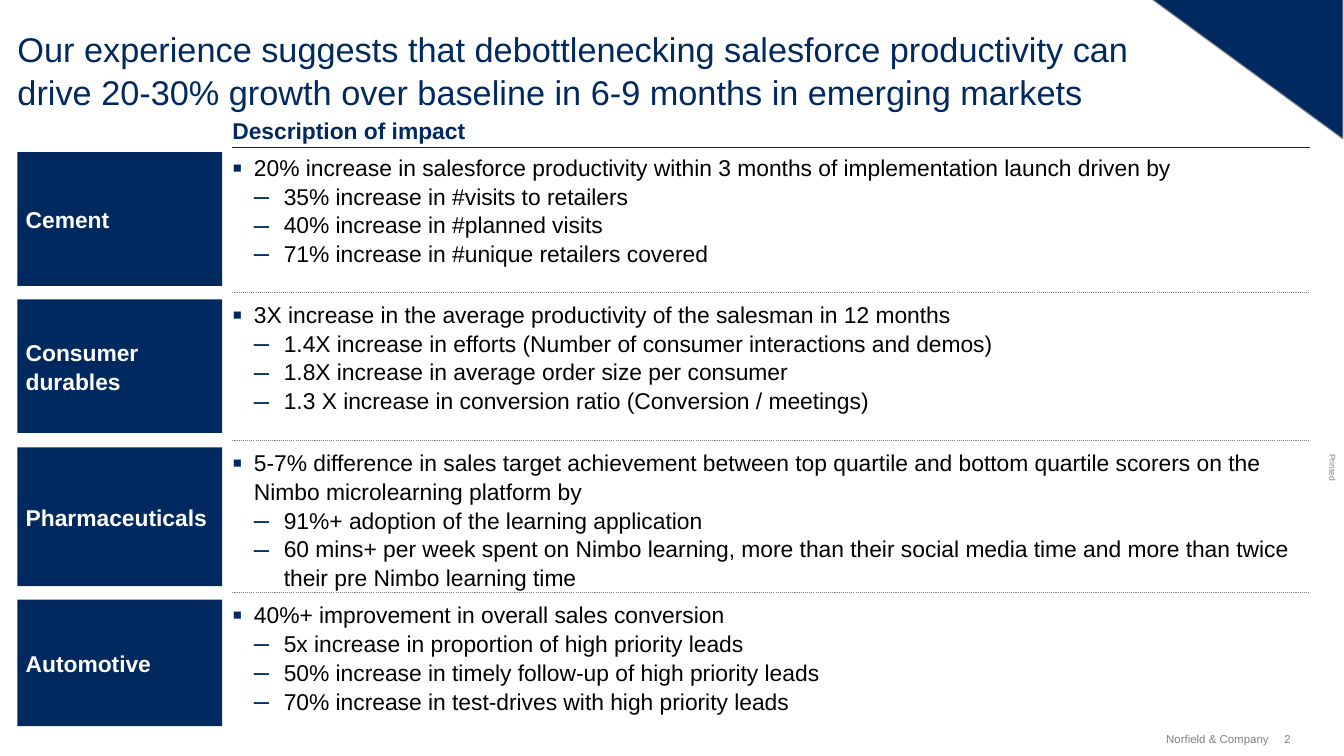
from lxml.etree import SubElement
from pptx import Presentation
from pptx.dml.color import RGBColor
from pptx.enum.dml import MSO_LINE
from pptx.enum.shapes import MSO_CONNECTOR, MSO_SHAPE
from pptx.enum.text import MSO_ANCHOR, PP_ALIGN
from pptx.oxml.ns import qn
from pptx.util import Inches, Pt

NAVY = RGBColor(0x00, 0x29, 0x60)
GRAY = RGBColor(0x80, 0x80, 0x80)
BLACK = RGBColor(0x00, 0x00, 0x00)
WHITE = RGBColor(0xFF, 0xFF, 0xFF)

LABEL_LEFT, LABEL_WIDTH = 0.17, 1.99
IMPACT_LEFT, IMPACT_WIDTH = 2.26, 10.48
SEPARATOR_OFFSET = 0.07

BULLETS = [
    {"char": "▪", "size": 125, "margin": 0.21, "hanging": 0.21},
    {"char": "–", "size": 120, "margin": 0.5, "hanging": 0.29},
]

INDUSTRIES = [
    ("Cement", 1.48, 1.3, [
        "20% increase in salesforce productivity within 3 months of implementation launch driven by",
        "35% increase in #visits to retailers",
        "40% increase in #planned visits",
        "71% increase in #unique retailers covered",
    ]),
    ("Consumer durables", 2.91, 1.3, [
        "3X increase in the average productivity of the salesman in 12 months",
        "1.4X increase in efforts (Number of consumer interactions and demos)",
        "1.8X increase in average order size per consumer",
        "1.3 X increase in conversion ratio (Conversion / meetings)",
    ]),
    ("Pharmaceuticals", 4.35, 1.35, [
        "5-7% difference in sales target achievement between top quartile and bottom quartile "
        "scorers on the Nimbo microlearning platform by",
        "91%+ adoption of the learning application",
        "60 mins+ per week spent on Nimbo learning, more than their social media time and "
        "more than twice their pre Nimbo learning time",
    ]),
    ("Automotive", 5.83, 1.23, [
        "40%+ improvement in overall sales conversion",
        "5x increase in proportion of high priority leads",
        "50% increase in timely follow-up of high priority leads",
        "70% increase in test-drives with high priority leads",
    ]),
]


def set_format(target, values):
    """Set each named attribute on the target."""
    for name, value in values.items():
        setattr(target, name, value)


def set_frame(frame, inset=0, **values):
    """Give a text frame equal insets and its other settings."""
    sides = ("margin_left", "margin_top", "margin_right", "margin_bottom")
    set_format(frame, dict.fromkeys(sides, Inches(inset)))
    set_format(frame, {"word_wrap": True, **values})


def write(paragraph, text, size, color, bold=False, align=PP_ALIGN.LEFT):
    """Write formatted text into a paragraph."""
    set_format(paragraph, {"alignment": align, "line_spacing": 1.05})
    run = paragraph.add_run()
    run.text = text
    set_format(run.font, {"name": "Arial", "size": Pt(size), "bold": bold})
    run.font.color.rgb = color


def add_text(slide, box, text, size, color, bold=False, align=PP_ALIGN.LEFT, **frame_values):
    """Add a text box holding one paragraph."""
    text_box = slide.shapes.add_textbox(*map(Inches, box))
    set_frame(text_box.text_frame, **frame_values)
    write(text_box.text_frame.paragraphs[0], text, size, color, bold, align)
    return text_box


def add_filled(slide, kind, box):
    """Add a navy preset shape without outline or shadow."""
    shape = slide.shapes.add_shape(kind, *map(Inches, box))
    shape.shadow.inherit = False
    shape.fill.solid()
    shape.fill.fore_color.rgb = NAVY
    shape.line.fill.background()
    return shape


def add_corner(slide):
    """Add the triangle in the top right corner."""
    corner = add_filled(slide, MSO_SHAPE.ISOSCELES_TRIANGLE, (11.2, -0.01, 1.86, 1.36))
    corner.adjustments[0] = 1
    corner.element.spPr.find(qn("a:xfrm")).set("flipV", "1")
    corner.line.color.rgb = GRAY
    corner.line.width = Pt(0.75)


def add_rule(slide, top, color, dash=None):
    """Add a horizontal rule across the impact column."""
    left, right, height = map(Inches, (IMPACT_LEFT, IMPACT_LEFT + IMPACT_WIDTH, top))
    rule = slide.shapes.add_connector(MSO_CONNECTOR.STRAIGHT, left, height, right, height)
    rule.line.color.rgb = color
    set_format(rule.line, {"width": Pt(0.75), "dash_style": dash})
    SubElement(rule.element.spPr, qn("a:effectLst"))


def add_bullet(paragraph, level):
    """Give a paragraph the bullet and indent of its level."""
    bullet = BULLETS[level]
    paragraph.level = level + 1
    properties = paragraph._p.get_or_add_pPr()
    properties.set("marL", str(Inches(bullet["margin"])))
    properties.set("indent", str(-Inches(bullet["hanging"])))
    color = SubElement(properties, qn("a:buClr"))
    SubElement(color, qn("a:srgbClr"), val=str(NAVY))
    SubElement(properties, qn("a:buSzPct"), val=str(bullet["size"] * 1000))
    SubElement(properties, qn("a:buFont"), typeface="Arial")
    SubElement(properties, qn("a:buChar"), char=bullet["char"])


def add_industry(slide, name, top, height, impacts):
    """Add one industry label with its list of impacts."""
    label = add_filled(slide, MSO_SHAPE.RECTANGLE, (LABEL_LEFT, top, LABEL_WIDTH, height))
    set_frame(label.text_frame, inset=0.08, vertical_anchor=MSO_ANCHOR.MIDDLE)
    write(label.text_frame.paragraphs[0], name, 16, WHITE, bold=True)

    box = map(Inches, (IMPACT_LEFT, top, IMPACT_WIDTH, height))
    frame = slide.shapes.add_textbox(*box).text_frame
    set_frame(frame)
    for index, impact in enumerate(impacts):
        paragraph = frame.add_paragraph() if index else frame.paragraphs[0]
        add_bullet(paragraph, min(index, 1))
        write(paragraph, impact, 16, BLACK)


def main():
    """Build the slide and save it."""
    deck = Presentation()
    set_format(deck, {"slide_width": Inches(13.07), "slide_height": Inches(7.35)})
    slide = deck.slides.add_slide(deck.slide_layouts[6])

    printed = add_text(slide, (12.83, 4.5, 0.27, 0.1), "Printed", 6, GRAY, word_wrap=False)
    printed.rotation = 90
    footer = {"word_wrap": False, "vertical_anchor": MSO_ANCHOR.MIDDLE}
    add_text(slide, (12.49, 7.12, 0.14, 0.13), "2", 8, GRAY, **footer)
    add_text(slide, (11.23, 7.12, 1.11, 0.13), "Norfield & Company", 8, GRAY,
             align=PP_ALIGN.RIGHT, **footer)
    add_corner(slide)

    add_text(slide, (LABEL_LEFT, 0.25, 11.55, 0.81),
             "Our experience suggests that debottlenecking salesforce productivity can "
             "drive 20-30% growth over baseline in 6-9 months in emerging markets", 24, NAVY)
    add_text(slide, (IMPACT_LEFT, 1.13, IMPACT_WIDTH, 0.29), "Description of impact", 16, NAVY,
             bold=True, vertical_anchor=MSO_ANCHOR.BOTTOM, margin_bottom=Inches(0.02))
    add_rule(slide, 1.43, NAVY)

    for industry in INDUSTRIES:
        add_industry(slide, *industry)
    for _, top, _, _ in INDUSTRIES[1:]:
        add_rule(slide, top - SEPARATOR_OFFSET, GRAY, MSO_LINE.ROUND_DOT)

    deck.save("out.pptx")


if __name__ == "__main__":
    main()
